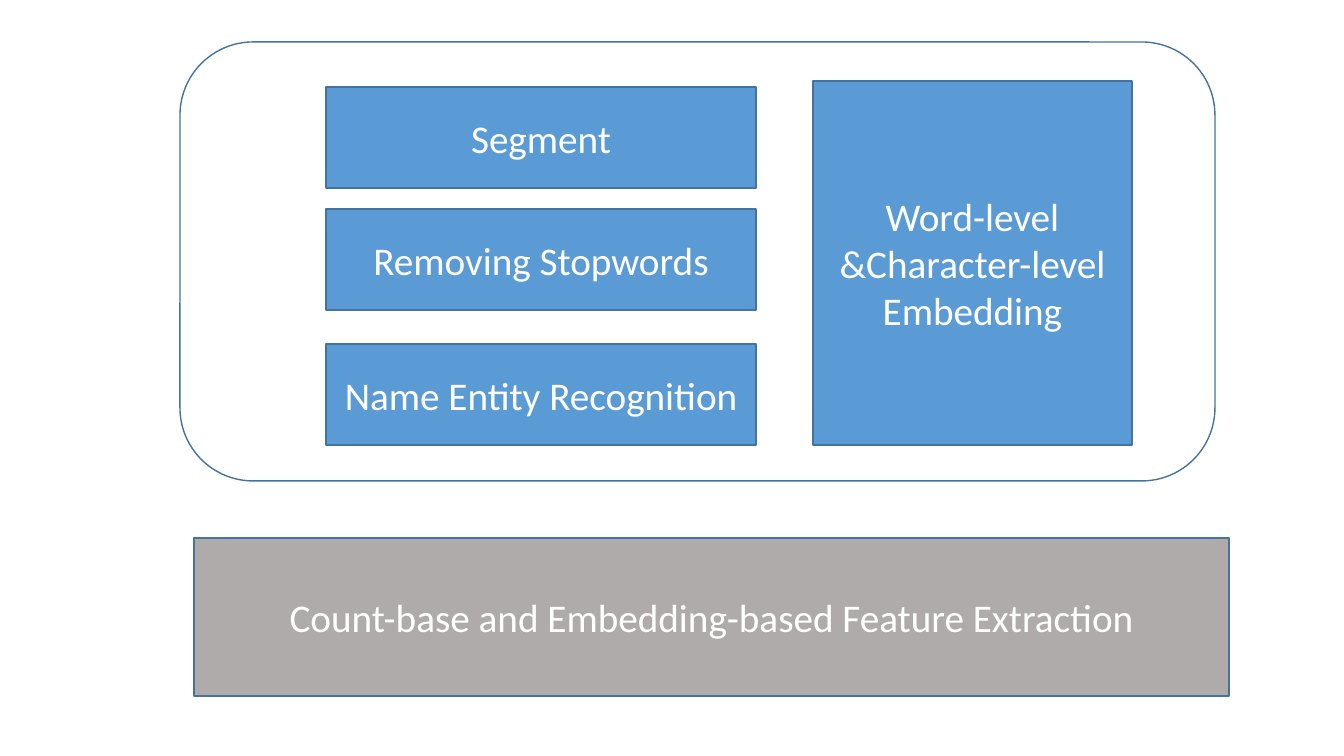
from pptx import Presentation
from pptx.dml.color import RGBColor
from pptx.enum.shapes import MSO_SHAPE as Preset
from pptx.enum.text import MSO_ANCHOR as Anchor, PP_ALIGN as Align
from pptx.util import Emu, Pt

# Content: preset, fill, (left, top, width, height) in pixels, lines of text
WHITE, BLUE, GRAY, OUTLINE = "FFFFFF", "5B9BD5", "AFABAB", "43739E"
STEP_LEFT, STEP_WIDTH, STEP_HEIGHT = 326, 430, 101
STEPS = [("Segment", 87), ("Removing Stopwords", 209), ("Name Entity Recognition", 344)]
EMBEDDING = ["Word-level", "&Character-level", "Embedding"]
EXTRACTION = ["Count-base and Embedding-based Feature Extraction"]

BOXES = [
    (Preset.ROUNDED_RECTANGLE, WHITE, (180, 42, 1035, 439), []),
    (Preset.RECTANGLE, GRAY, (194, 538, 1035, 158), EXTRACTION),
    (Preset.RECTANGLE, BLUE, (813, 81, 319, 364), EMBEDDING),
] + [
    (Preset.RECTANGLE, BLUE, (STEP_LEFT, top, STEP_WIDTH, STEP_HEIGHT), [label])
    for label, top in STEPS
]


def px(pixels):
    return Emu(round(pixels * 914400 / 100.8))


def color(code):
    return RGBColor.from_string(code)


def add_box(page, preset, fill, place, lines):
    box = page.shapes.add_shape(preset, *map(px, place))
    box.shadow.inherit = False
    box.fill.solid()
    box.fill.fore_color.rgb = color(fill)
    box.line.color.rgb = color(OUTLINE)
    box.line.width = Pt(1)
    frame = box.text_frame
    frame.word_wrap = True
    frame.vertical_anchor = Anchor.MIDDLE
    for index, line in enumerate(lines):
        para = frame.add_paragraph() if index else frame.paragraphs[0]
        para.alignment = Align.CENTER
        span = para.add_run()
        span.text = line
        span.font.name = "Calibri"
        span.font.size = Pt(28)
        span.font.color.rgb = color(WHITE)


# Slide
deck = Presentation()
deck.slide_width, deck.slide_height = px(1344), px(756)
page = deck.slides.add_slide(deck.slide_layouts[6])

# Boxes, back to front
for box_data in BOXES:
    add_box(page, *box_data)

deck.save("out.pptx")
